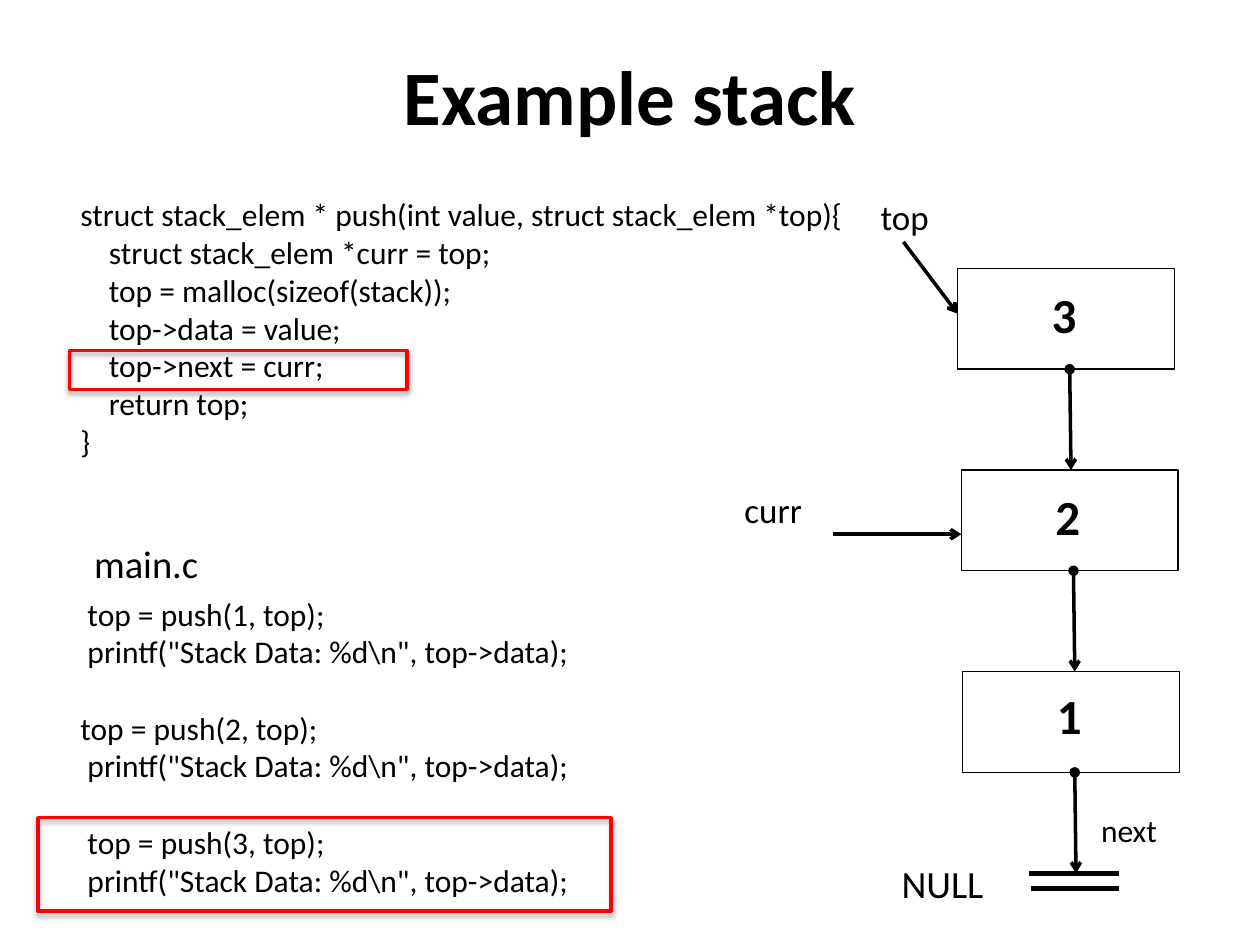
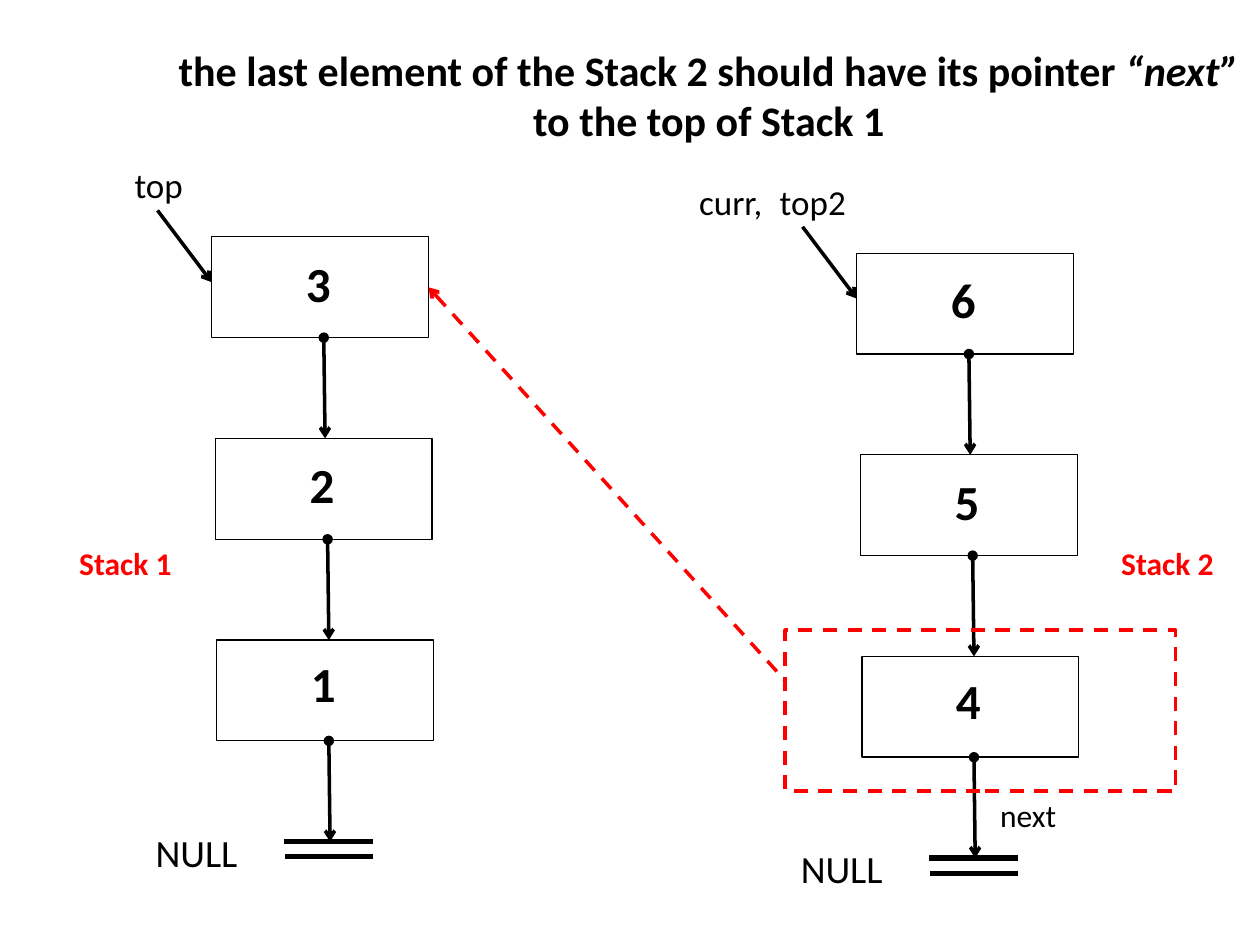
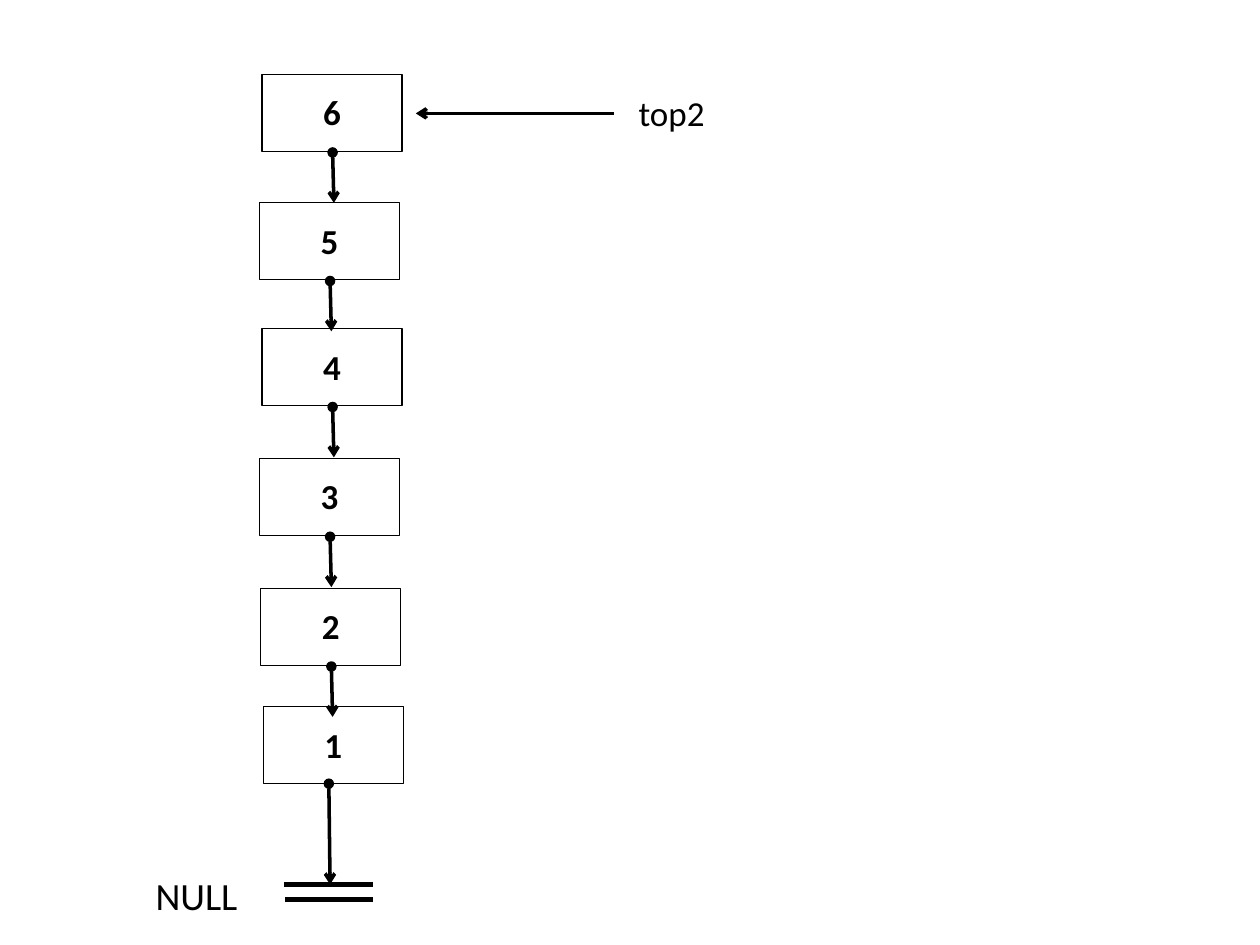
import lxml.etree
import pptx
import pptx.dml.color
import pptx.enum.dml
import pptx.enum.shapes
import pptx.enum.text
import pptx.oxml.ns
import pptx.util

EMU_PER_PX = 9144
FONT = "Calibri"
COLORS = {"ink": "000000", "paper": "FFFFFF", "accent": "FF0000"}
NODE_STEP = 160
LINE_HEIGHT = 1.22

PUSH_CODE = """struct stack_elem * push(int value, struct stack_elem *top){
    struct stack_elem *curr = top;
    top = malloc(sizeof(stack));
    top->data = value;
    top->next = curr;
    return top;
}"""

MAIN_CODE = r""" top = push(1, top);
 printf("Stack Data: %d\n", top->data);

top = push(2, top);
 printf("Stack Data: %d\n", top->data);

 top = push(3, top);
 printf("Stack Data: %d\n", top->data);"""


def px(*lengths):
    return [pptx.util.Emu(length * EMU_PER_PX) for length in lengths]


def color(name):
    return pptx.dml.color.RGBColor.from_string(COLORS[name])


def add_element(parent, tag, **attributes):
    return lxml.etree.SubElement(parent, pptx.oxml.ns.qn(tag), attributes)


def style_line(line, ink, width, dashed=False):
    line.color.rgb = color(ink)
    line.width = pptx.util.Pt(width)
    if dashed:
        line.dash_style = pptx.enum.dml.MSO_LINE.DASH


def add_text(slide, text, box, *, size=18, bold=False, ink="ink", centered=False,
             middle=False, wrap=True, italic=None):
    shape = slide.shapes.add_textbox(*px(*box))
    frame = shape.text_frame
    frame.word_wrap = wrap
    if middle:
        frame.vertical_anchor = pptx.enum.text.MSO_ANCHOR.MIDDLE
    else:
        frame.auto_size = pptx.enum.text.MSO_AUTO_SIZE.SHAPE_TO_FIT_TEXT
    paragraph = frame.paragraphs[0]
    for block_index, block in enumerate(text.split("\n\n")):
        for line_index, line in enumerate(block.split("\n")):
            if block_index or line_index:
                paragraph = frame.add_paragraph()
            if block_index and not line_index:
                paragraph.space_before = pptx.util.Pt(round(size * LINE_HEIGHT))
            if centered:
                paragraph.alignment = pptx.enum.text.PP_ALIGN.CENTER
            for part in line.partition(italic) if italic else [line]:
                if part:
                    run = paragraph.add_run()
                    run.text = part
                    run.font.name = FONT
                    run.font.size = pptx.util.Pt(size)
                    run.font.bold = bold
                    run.font.italic = part == italic
                    run.font.color.rgb = color(ink)


def add_title(slide, text, left=0, size=44, italic=None):
    add_text(slide, text, (left, 24, 1000 - left, 102), size=size, bold=True,
             centered=True, middle=True, italic=italic)


def add_line(slide, start, end, *, ink="ink", width=2, dashed=False, head=None, tail=None):
    connector = slide.shapes.add_connector(
        pptx.enum.shapes.MSO_CONNECTOR.STRAIGHT, *px(*start, *end))
    style_line(connector.line, ink, width, dashed)
    outline = connector.line._get_or_add_ln()
    if head:
        add_element(outline, "a:headEnd", type=head)
    if tail:
        add_element(outline, "a:tailEnd", type=tail)
    add_element(connector._element.spPr, "a:effectLst")


def add_rectangle(slide, box, *, ink="ink", width=0.75, fill=None, dashed=False):
    shape = slide.shapes.add_shape(pptx.enum.shapes.MSO_SHAPE.RECTANGLE, *px(*box))
    shape.shadow.inherit = False
    if fill:
        shape.fill.solid()
        shape.fill.fore_color.rgb = color(fill)
    else:
        shape.fill.background()
    style_line(shape.line, ink, width, dashed)
    return shape


def add_highlight(slide, box):
    shape = add_rectangle(slide, box, ink="accent", width=2)
    effects = shape._element.spPr.find(pptx.oxml.ns.qn("a:effectLst"))
    shadow = add_element(effects, "a:outerShdw", blurRad="39400", dist="22900",
                         dir="5400000", rotWithShape="0")
    shade = add_element(shadow, "a:srgbClr", val=COLORS["ink"])
    add_element(shade, "a:alpha", val="35000")


def add_node(slide, value, left, top, width, height, size):
    add_rectangle(slide, (left, top, width, height), fill="paper")
    label_width, label_height = (169, 57) if size == 28 else (111, 44)
    label_top = top + (6 if size == 28 and value in "14" else 8)
    add_text(slide, value, (left, label_top, label_width, label_height),
             size=size, bold=True, centered=True)


def add_link(slide, left, top, length):
    add_line(slide, (left, top), (left + 1, top + length), head="oval", tail="arrow")


def add_null(slide, left, top):
    add_text(slide, "NULL", (left - 155, top - 15, 172, 47), size=22, centered=True)
    add_line(slide, (left + 71, top + 12), (left + 1, top + 12), width=3)
    add_line(slide, (left + 71, top), (left, top), width=3)


def add_stack(slide, values, left, top, name, label_next=False):
    add_null(slide, left + 57, top + 3 * NODE_STEP)
    for index, shift in reversed(list(enumerate((0, 3, 4)))):
        node_left, node_top = left + shift, top + index * NODE_STEP
        add_node(slide, values[index], node_left, node_top, 172, 80, 28)
        add_link(slide, node_left + 89, node_top + 80, 80)
    add_text(slide, name, (left - 71, top - 63, 97, 44), size=20)
    add_line(slide, (left - 43, top - 21), (left, top + 36), tail="arrow")
    if label_next:
        add_text(slide, "next", (left + 104, top + 426, 97, 40))


def build_push_slide(slide):
    add_title(slide, "Example stack")
    add_highlight(slide, (30, 649, 455, 74))
    add_text(slide, PUSH_CODE, (54, 150, 670, 222))
    add_text(slide, MAIN_CODE, (54, 467, 500, 283))
    add_text(slide, "main.c", (30, 424, 172, 47), size=22, centered=True)
    add_highlight(slide, (55, 278, 268, 31))
    add_stack(slide, "321", 760, 213, "top", label_next=True)
    add_line(slide, (661, 424), (763, 424), tail="arrow")
    add_text(slide, "curr", (581, 383, 97, 44), size=20)


def build_join_slide(slide):
    add_stack(slide, "321", 168, 188, "top")
    add_stack(slide, "654", 680, 201, "top2", label_next=True)
    for name, left in (("Stack 1", 53), ("Stack 2", 880)):
        add_text(slide, name, (left, 427, 95, 40), bold=True, ink="accent", wrap=False)
    add_text(slide, "curr,", (545, 138, 97, 44), size=20)
    add_title(slide, "the last element of the Stack 2 should have its pointer “next” "
              "to the top of Stack 1", left=125, size=24, italic="“next”")
    add_rectangle(slide, (623, 500, 310, 128), ink="accent", width=2, dashed=True)
    add_line(slide, (340, 228), (623, 540), ink="accent", dashed=True, head="arrow")


def build_result_slide(slide):
    add_null(slide, 225, 702)
    nodes = (("1", 209, 561), ("2", 207, 467), ("3", 206, 364),
             ("4", 208, 261), ("5", 206, 161), ("6", 208, 59))
    for value, left, top in nodes:
        add_node(slide, value, left, top, 111, 61, 20)
        if value == "1":
            add_link(slide, left + 52, top + 61, 80)
        else:
            add_link(slide, left + 56, top + 62, 40)
    add_text(slide, "top2", (497, 68, 97, 44), size=20)
    add_line(slide, (487, 90), (330, 90), tail="arrow")


def main():
    presentation = pptx.Presentation()
    presentation.slide_width, presentation.slide_height = px(1000, 750)
    for build in (build_push_slide, build_join_slide, build_result_slide):
        build(presentation.slides.add_slide(presentation.slide_layouts[6]))
    presentation.save("out.pptx")


if __name__ == "__main__":
    main()
